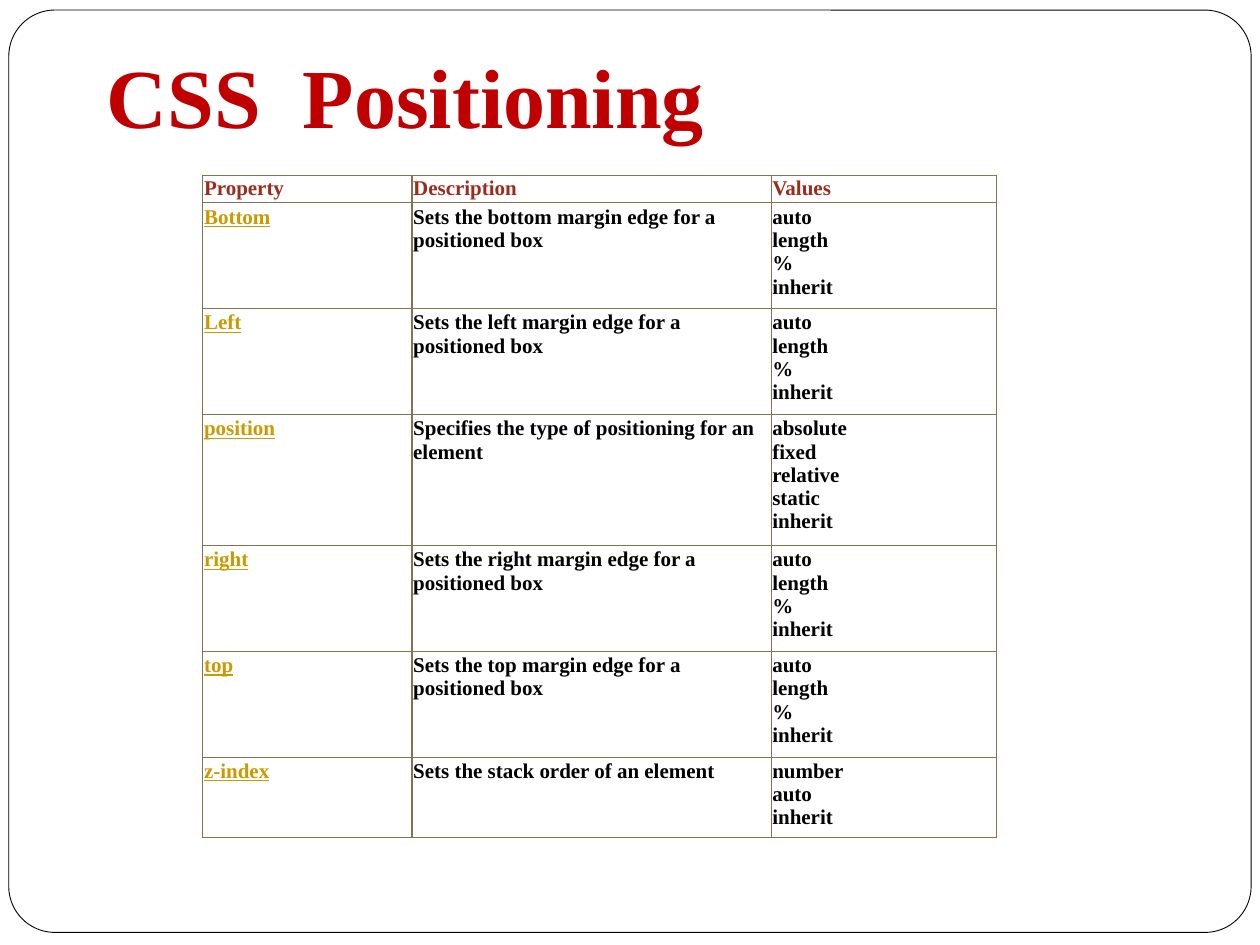
from lxml.etree import SubElement
from pptx import Presentation
from pptx.dml.color import RGBColor
from pptx.enum.shapes import MSO_SHAPE
from pptx.enum.text import MSO_ANCHOR
from pptx.oxml import parse_xml
from pptx.oxml.ns import nsdecls, qn
from pptx.util import Inches, Pt

FONT = "Times New Roman"
WHITE = RGBColor(0xFF, 0xFF, 0xFF)
BLACK = RGBColor(0x00, 0x00, 0x00)
TITLE_RED = RGBColor(0xC0, 0x00, 0x00)
TITLE_OUTLINE = RGBColor(0xB4, 0x1A, 0x06)
HEADER_RED = RGBColor(0x9B, 0x2D, 0x1F)
LINK_GOLD = RGBColor(0xCC, 0x99, 0x00)
BORDER_BROWN = RGBColor(0x84, 0x72, 0x53)

TITLE = "CSS  Positioning"
HEADERS = ("Property", "Description", "Values")
LENGTH_VALUES = ("auto", "length", "%", "inherit")
PROPERTIES = [
    ("Bottom", "Sets the bottom margin edge for a positioned box", LENGTH_VALUES),
    ("Left", "Sets the left margin edge for a positioned box", LENGTH_VALUES),
    ("position", "Specifies the type of positioning for an element",
     ("absolute", "fixed", "relative", "static", "inherit")),
    ("right", "Sets the right margin edge for a positioned box", LENGTH_VALUES),
    ("top", "Sets the top margin edge for a positioned box", LENGTH_VALUES),
    ("z-index", "Sets the stack order of an element", ("number", "auto", "inherit")),
]
COLUMN_WIDTHS = (1.66, 2.85, 1.79)
HEADER_HEIGHT = 0.22
ROW_HEIGHTS = {3: 0.64, 4: 0.84, 5: 1.04}  # by number of values


def add_run(paragraph, text, size, color, underline=False):
    run = paragraph.add_run()
    run.text = text
    font = run.font
    font.name, font.size, font.bold = FONT, Pt(size), True
    font.color.rgb = color
    if underline:
        font.underline = True
    return run


def add_borders(cell):
    properties = cell._tc.get_or_add_tcPr()
    for position, side in enumerate(("lnL", "lnR", "lnT", "lnB")):
        line = parse_xml(f'<a:{side} {nsdecls("a")} w="{Pt(0.75)}"/>')
        fill = SubElement(line, qn("a:solidFill"))
        SubElement(fill, qn("a:srgbClr"), val=str(BORDER_BROWN))
        properties.insert(position, line)


def fill_cell(cell, lines, color, vertical_margin, underline=False):
    """Write lines into a cell as one paragraph with line breaks."""
    cell.margin_left = cell.margin_right = Inches(0.01)
    cell.margin_top = cell.margin_bottom = Inches(vertical_margin)
    cell.fill.background()
    paragraph = cell.text_frame.paragraphs[0]
    for number, line in enumerate(lines):
        if number:
            paragraph.add_line_break()
        add_run(paragraph, line, 12, color, underline)
    add_borders(cell)


def add_frame(slide):
    frame = slide.shapes.add_shape(MSO_SHAPE.ROUNDED_RECTANGLE, Inches(0.07),
                                   Inches(0.08), Inches(9.86), Inches(7.32))
    frame.adjustments[0] = 0.05
    frame.shadow.inherit = False
    frame.fill.solid()
    frame.fill.fore_color.rgb = WHITE
    frame.line.color.rgb = BLACK
    frame.line.width = Pt(0.5)


def add_title(slide):
    box = slide.shapes.add_textbox(Inches(0.75), Inches(0.29), Inches(7.69), Inches(0.91))
    text_frame = box.text_frame
    text_frame.word_wrap = True
    text_frame.vertical_anchor = MSO_ANCHOR.BOTTOM
    run = add_run(text_frame.paragraphs[0], TITLE, 48, TITLE_RED)
    outline = parse_xml(f'<a:ln {nsdecls("a")} w="{Pt(1.42)}"/>')
    fill = SubElement(outline, qn("a:solidFill"))
    SubElement(fill, qn("a:srgbClr"), val=str(TITLE_OUTLINE))
    run._r.get_or_add_rPr().insert(0, outline)


def add_property_table(slide):
    heights = [HEADER_HEIGHT] + [ROW_HEIGHTS[len(values)] for _, _, values in PROPERTIES]
    table = slide.shapes.add_table(
        len(heights), len(COLUMN_WIDTHS), Inches(1.61), Inches(1.39),
        Inches(sum(COLUMN_WIDTHS)), Inches(sum(heights))).table
    table.horz_banding = False
    table.first_row = False
    for column, width in zip(table.columns, COLUMN_WIDTHS):
        column.width = Inches(width)
    for row, height in zip(table.rows, heights):
        row.height = Inches(height)

    for column, header in enumerate(HEADERS):
        fill_cell(table.cell(0, column), [header], HEADER_RED, 0.01)
    for row, (name, description, values) in enumerate(PROPERTIES, start=1):
        fill_cell(table.cell(row, 0), [name], LINK_GOLD, 0.02, underline=True)
        fill_cell(table.cell(row, 1), [description], BLACK, 0.02)
        fill_cell(table.cell(row, 2), values, BLACK, 0.02)


def main():
    presentation = Presentation()
    presentation.slide_width = Inches(10)
    presentation.slide_height = Inches(7.5)
    slide = presentation.slides.add_slide(presentation.slide_layouts[6])
    add_frame(slide)
    add_title(slide)
    add_property_table(slide)
    presentation.save("out.pptx")


if __name__ == "__main__":
    main()
